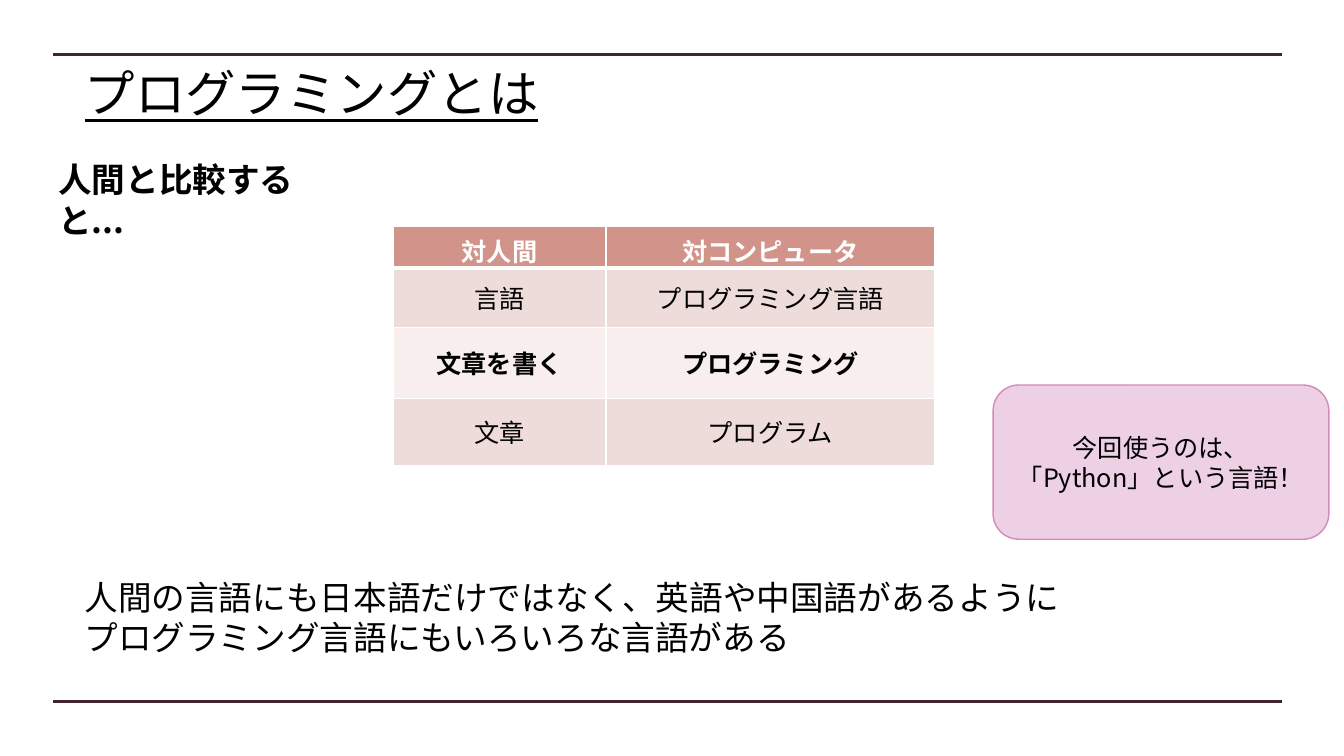
"""Build the slide that compares programming with human language."""
import dataclasses
import typing

import lxml.etree
import pptx
import pptx.dml.color
import pptx.enum.shapes
import pptx.enum.text
import pptx.oxml.ns
import pptx.util

PX = 9144
ANCHOR = pptx.enum.text.MSO_ANCHOR
ALIGN = pptx.enum.text.PP_ALIGN


@dataclasses.dataclass(frozen=True)
class Theme:
    font: str = "Noto Sans CJK JP"
    ink: str = "000000"
    white: str = "FFFFFF"
    rule: str = "41242C"
    header: str = "D2948A"
    band_dark: str = "EEDCDA"
    band_light: str = "F7EEED"
    callout_fill: str = "EDD0E4"
    callout_line: str = "D28ABC"
    title_size: int = 36
    body_size: int = 24
    label_size: int = 18
    rule_width: float = 2.25
    thin: int = 1
    thick: int = 3


THEME = Theme()


class Area(typing.NamedTuple):
    left: int
    top: int
    width: int
    height: int

    def emu(self) -> list[int]:
        return [length * PX for length in self]


@dataclasses.dataclass(frozen=True)
class Note:
    area: Area
    text: str
    bold: bool = False


@dataclasses.dataclass(frozen=True)
class Row:
    height: int
    texts: tuple[str, str]
    fill: str
    color: str = THEME.ink
    bold: bool = False


TITLE = Note(Area(74, 57, 603, 71), "プログラミングとは")
NOTES = (
    Note(Area(48, 153, 312, 50), "人間と比較すると...", bold=True),
    Note(
        Area(74, 567, 1019, 91),
        "人間の言語にも日本語だけではなく、英語や中国語があるように\n"
        "プログラミング言語にもいろいろな言語がある",
    ),
)
CALLOUT = Note(Area(985, 382, 333, 153), "今回使うのは、\n「Python」という言語！")
RULE_LEFT, RULE_RIGHT = 53, 1272
RULE_TOPS = (54, 696)
TABLE_LEFT, TABLE_TOP = 390, 225
COLUMN_WIDTHS = (211, 326)
ROWS = (
    Row(41, ("対人間", "対コンピュータ"), THEME.header, THEME.white, True),
    Row(59, ("言語", "プログラミング言語"), THEME.band_dark),
    Row(70, ("文章を書く", "プログラミング"), THEME.band_light, bold=True),
    Row(67, ("文章", "プログラム"), THEME.band_dark),
)


def rgb(color: str) -> pptx.dml.color.RGBColor:
    return pptx.dml.color.RGBColor.from_string(color)


def write(frame, text: str, size: int, align, color: str = THEME.ink,
          bold: bool = False, underline: bool = False) -> None:
    frame.text = text
    for para in frame.paragraphs:
        para.alignment = align
        for span in para.runs:
            font = span.font
            font.size = pptx.util.Pt(size)
            font.bold = bold
            font.underline = underline
            font.color.rgb = rgb(color)
            font.name = THEME.font
            latin = span._r.get_or_add_rPr().find(pptx.oxml.ns.qn("a:latin"))
            east_asian = latin.makeelement(pptx.oxml.ns.qn("a:ea"), {"typeface": THEME.font})
            latin.addnext(east_asian)


def fit_frame(frame) -> None:
    frame.word_wrap = True
    frame.auto_size = pptx.enum.text.MSO_AUTO_SIZE.SHAPE_TO_FIT_TEXT
    frame.vertical_anchor = ANCHOR.TOP


def place_title(page, note: Note) -> None:
    title = page.shapes.title
    title.left, title.top, title.width, title.height = note.area.emu()
    fit_frame(title.text_frame)
    write(title.text_frame, note.text, THEME.title_size, ALIGN.LEFT, underline=True)


def draw_note(page, note: Note) -> None:
    box = page.shapes.add_textbox(*note.area.emu())
    fit_frame(box.text_frame)
    write(box.text_frame, note.text, THEME.body_size, ALIGN.LEFT, bold=note.bold)


def draw_rule(page, top: int) -> None:
    rule = page.shapes.add_connector(
        pptx.enum.shapes.MSO_CONNECTOR.STRAIGHT,
        RULE_LEFT * PX, top * PX, RULE_RIGHT * PX, top * PX,
    )
    rule.line.color.rgb = rgb(THEME.rule)
    rule.line.width = pptx.util.Pt(THEME.rule_width)
    lxml.etree.SubElement(rule._element.spPr, pptx.oxml.ns.qn("a:effectLst"))


def draw_callout(page, note: Note) -> None:
    shape = page.shapes.add_shape(
        pptx.enum.shapes.MSO_SHAPE.ROUNDED_RECTANGLE, *note.area.emu())
    shape.shadow.inherit = False
    shape.fill.solid()
    shape.fill.fore_color.rgb = rgb(THEME.callout_fill)
    shape.line.color.rgb = rgb(THEME.callout_line)
    shape.line.width = pptx.util.Pt(THEME.thin)
    shape.text_frame.word_wrap = True
    shape.text_frame.vertical_anchor = ANCHOR.MIDDLE
    write(shape.text_frame, note.text, THEME.label_size, ALIGN.CENTER)


def draw_borders(cell, row_index: int) -> None:
    properties = cell._tc.get_or_add_tcPr()
    thick_side = {0: "lnB", 1: "lnT"}.get(row_index)
    for side in ("lnL", "lnR", "lnT", "lnB"):
        width = THEME.thick if side == thick_side else THEME.thin
        border = lxml.etree.SubElement(
            properties, pptx.oxml.ns.qn(f"a:{side}"), w=str(pptx.util.Pt(width)))
        fill = lxml.etree.SubElement(border, pptx.oxml.ns.qn("a:solidFill"))
        lxml.etree.SubElement(fill, pptx.oxml.ns.qn("a:srgbClr"), val=THEME.white)


def draw_table(page, rows: tuple[Row, ...]) -> None:
    area = Area(TABLE_LEFT, TABLE_TOP, sum(COLUMN_WIDTHS), sum(row.height for row in rows))
    table = page.shapes.add_table(len(rows), len(COLUMN_WIDTHS), *area.emu()).table
    for column, width in zip(table.columns, COLUMN_WIDTHS):
        column.width = width * PX
    for row_index, row in enumerate(rows):
        table.rows[row_index].height = row.height * PX
        for column_index, text in enumerate(row.texts):
            cell = table.cell(row_index, column_index)
            draw_borders(cell, row_index)
            cell.fill.solid()
            cell.fill.fore_color.rgb = rgb(row.fill)
            cell.vertical_anchor = ANCHOR.MIDDLE
            write(cell.text_frame, text, THEME.label_size, ALIGN.CENTER, row.color, row.bold)


def main() -> None:
    deck = pptx.Presentation()
    deck.slide_width, deck.slide_height = 1333 * PX, 750 * PX
    page = deck.slides.add_slide(deck.slide_layouts.get_by_name("Title Only"))
    for top in RULE_TOPS:
        draw_rule(page, top)
    place_title(page, TITLE)
    draw_table(page, ROWS)
    for note in NOTES:
        draw_note(page, note)
    draw_callout(page, CALLOUT)
    deck.save("out.pptx")


if __name__ == "__main__":
    main()
